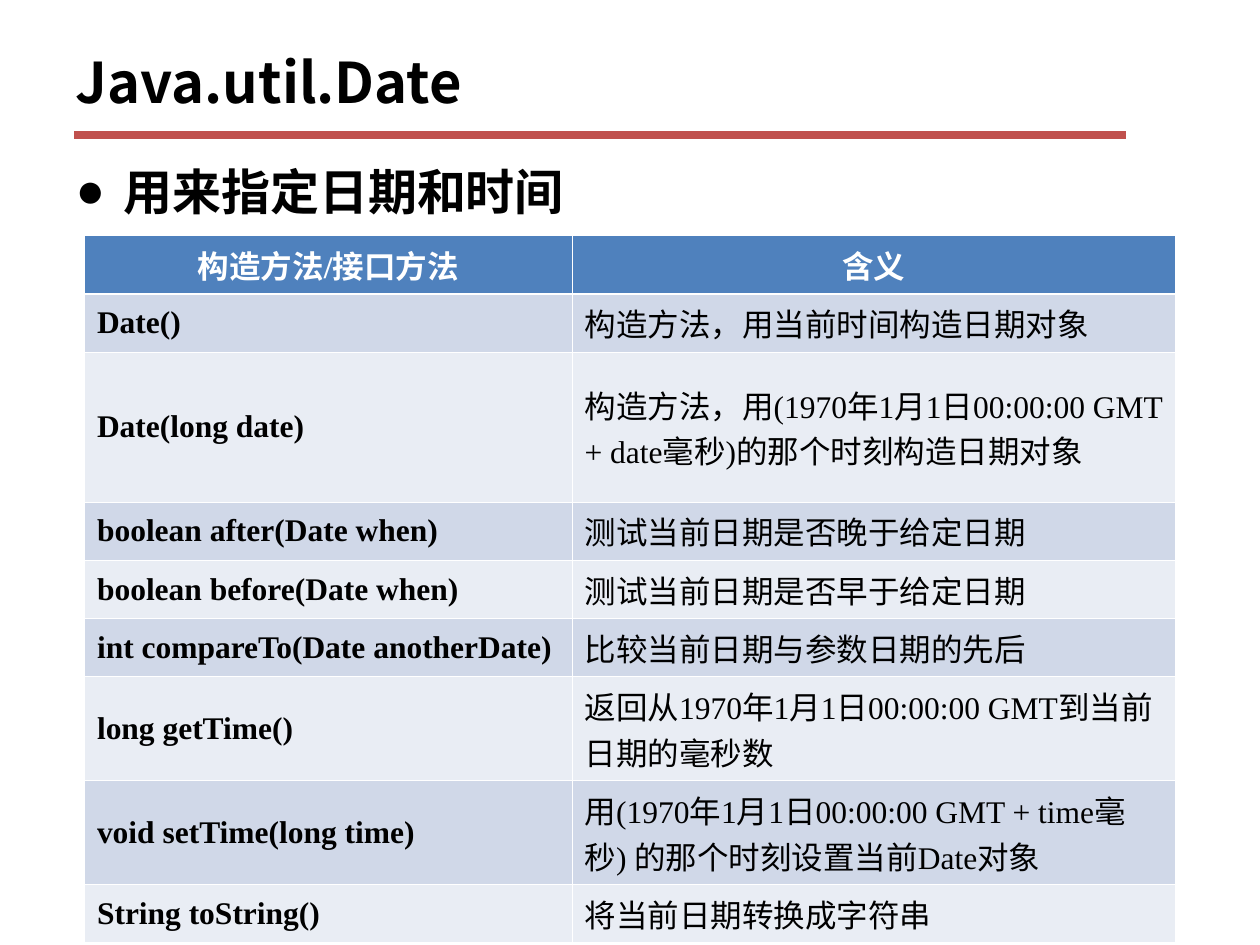
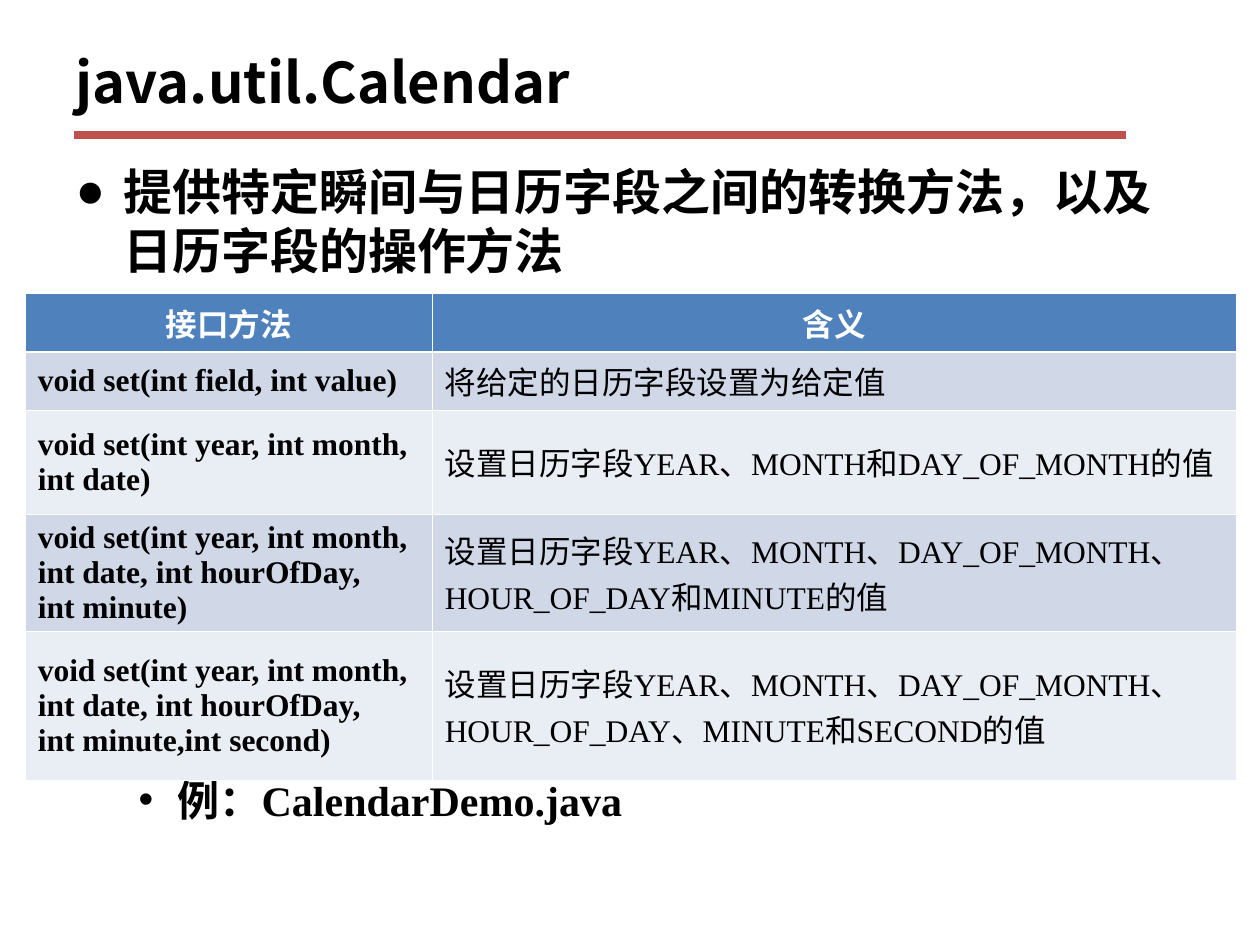
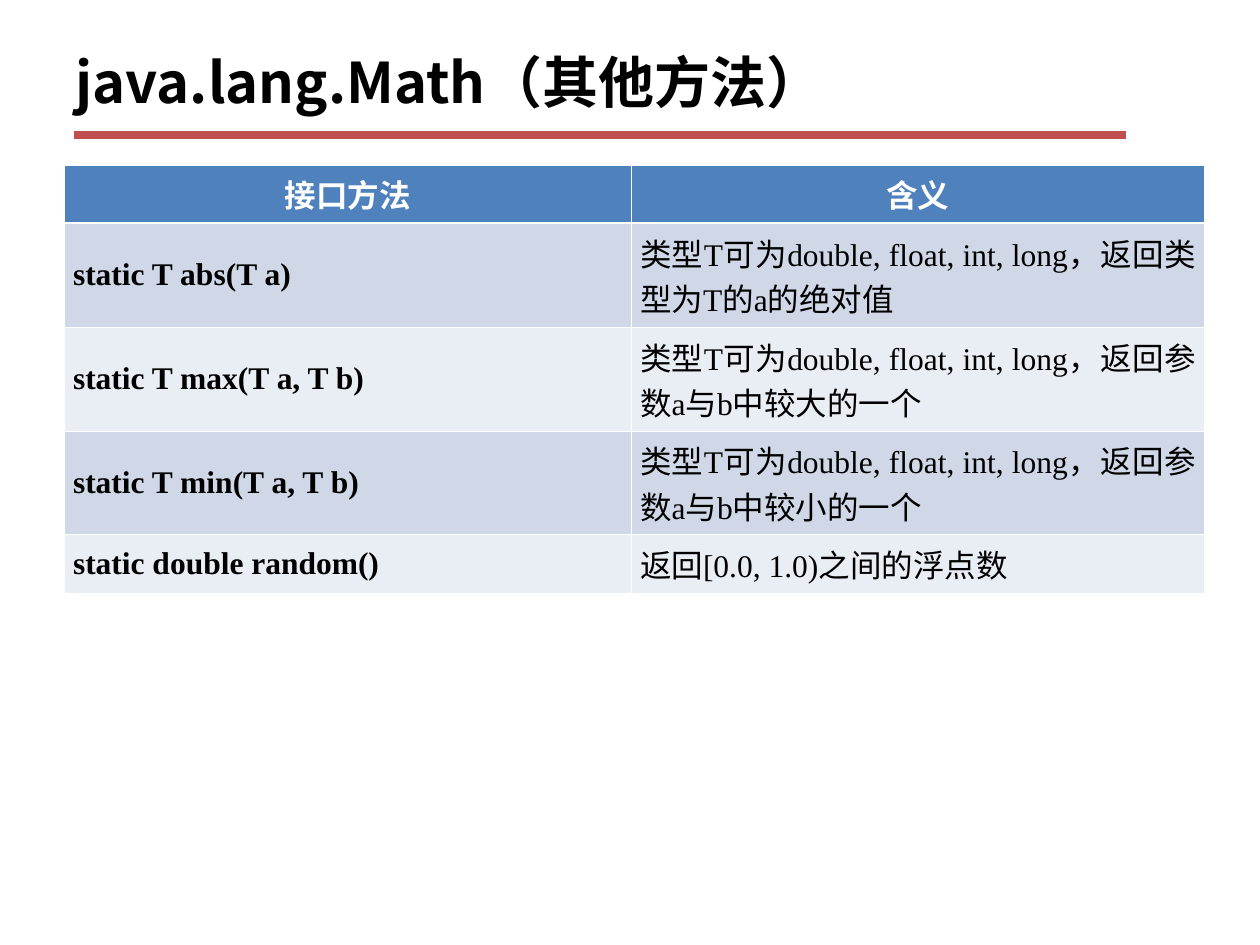
from lxml import etree
from pptx import Presentation
from pptx.dml.color import RGBColor
from pptx.enum import shapes, text
from pptx.oxml import ns
from pptx.util import Inches, Pt

BLACK = RGBColor(0x00, 0x00, 0x00)
WHITE = RGBColor(0xFF, 0xFF, 0xFF)
RED = RGBColor(0xC0, 0x50, 0x4D)
HEADER_BLUE = RGBColor(0x4F, 0x81, 0xBD)
BANDS = (RGBColor(0xD0, 0xD8, 0xE8), RGBColor(0xE9, 0xED, 0xF4))

SERIF = "Times New Roman"
SANS = "Noto Sans CJK SC"
TITLE_BOX = (0.5, 0.21, 9, 0.87)
BODY_BOX = (0.5, 1.23, 9, 5.83)
TITLE_FONT = {"name": SANS, "size": Pt(32), "bold": True}
TABLE_SIZE = Pt(18)
THIN, THICK = Pt(0.45), Pt(1.47)
# bullet sign, left margin, hanging indent, text size for each level
LEVELS = (("●", 0.38, 0.38, Pt(28)), ("•", 0.81, 0.31, Pt(24)))
LAYOUT_LIST, LAYOUT_TITLE_ONLY = 1, 5


def no_break(signature):
    """Keep each int together with the parameter name that follows it."""
    return signature.replace("int ", "int" + chr(160))


DATE_ROWS = [
    ("构造方法/接口方法", "含义"),
    ("Date()", "构造方法，用当前时间构造日期对象"),
    ("Date(long date)",
     "构造方法，用(1970年1月1日00:00:00 GMT + date毫秒)的那个时刻构造日期对象"),
    ("boolean after(Date when)", "测试当前日期是否晚于给定日期"),
    ("boolean before(Date when)", "测试当前日期是否早于给定日期"),
    ("int compareTo(Date anotherDate)", "比较当前日期与参数日期的先后"),
    ("long getTime()", "返回从1970年1月1日00:00:00 GMT到当前日期的毫秒数"),
    ("void setTime(long time)",
     "用(1970年1月1日00:00:00 GMT + time毫秒) 的那个时刻设置当前Date对象"),
    ("String toString()", "将当前日期转换成字符串"),
]
CALENDAR_ROWS = [
    ("接口方法", "含义"),
    ("void set(int field, int value)", "将给定的日历字段设置为给定值"),
    (no_break("void set(int year, int month, int date)"),
     "设置日历字段YEAR、MONTH和DAY_OF_MONTH的值"),
    (no_break("void set(int year, int month, int date, int hourOfDay, int minute)"),
     "设置日历字段YEAR、MONTH、DAY_OF_MONTH、HOUR_OF_DAY和MINUTE的值"),
    (no_break("void set(int year, int month, int date, int hourOfDay, int minute,int second)"),
     "设置日历字段YEAR、MONTH、DAY_OF_MONTH、HOUR_OF_DAY、MINUTE和SECOND的值"),
]
MATH_ROWS = [
    ("接口方法", "含义"),
    ("static T abs(T a)", "类型T可为double, float, int, long，返回类型为T的a的绝对值"),
    ("static T max(T a, T b)", "类型T可为double, float, int, long，返回参数a与b中较大的一个"),
    ("static T min(T a, T b)", "类型T可为double, float, int, long，返回参数a与b中较小的一个"),
    ("static double random()", "返回[0.0, 1.0)之间的浮点数"),
]


def sub(parent, tag, **attrs):
    return etree.SubElement(parent, ns.qn(tag), **attrs)


def place(sp, box):
    for name, value in zip(("left", "top", "width", "height"), box):
        setattr(sp, name, Inches(value))


def add_run(p, words, color=BLACK, **fmt):
    r = p.add_run()
    r.text = words
    for name, value in fmt.items():
        setattr(r.font, name, value)
    r.font.color.rgb = color
    sub(r._r.get_or_add_rPr(), "a:ea", typeface=SANS)


def add_header(s, title, box=TITLE_BOX):
    """Fill the title and draw the red rule along the bottom of its box."""
    sp = s.shapes.title
    place(sp, box)
    tf = sp.text_frame
    tf.auto_size = text.MSO_AUTO_SIZE.NONE
    tf.vertical_anchor = text.MSO_ANCHOR.MIDDLE
    p = tf.paragraphs[0]
    p.alignment = text.PP_ALIGN.LEFT
    add_run(p, title, **TITLE_FONT)

    left, top, width, height = box
    y = Inches(top + height - 0.01)
    rule = s.shapes.add_connector(shapes.MSO_CONNECTOR.STRAIGHT, Inches(left + 0.09), y,
                                  Inches(left + width - 0.56), y)
    rule.line.color.rgb = RED
    rule.line.width = Pt(4.5)
    sub(rule._element.spPr, "a:effectLst")


def add_list(s, items, box=BODY_BOX):
    """Fill the body with items of (level, words, space before)."""
    sp = s.placeholders[1]
    place(sp, box)
    tf = sp.text_frame
    tf.auto_size = text.MSO_AUTO_SIZE.NONE
    for i, (level, words, space) in enumerate(items):
        p = tf.add_paragraph() if i else tf.paragraphs[0]
        sign, margin, hanging, size = LEVELS[level]
        pPr = p._p.get_or_add_pPr()
        pPr.set("marL", str(Inches(margin)))
        pPr.set("indent", str(-Inches(hanging)))
        sub(sub(pPr, "a:buClr"), "a:srgbClr", val=str(BLACK))
        sub(pPr, "a:buChar", char=sign)
        p.level = level
        p.space_before = space
        add_run(p, words, name=SERIF, size=size, bold=True)


def set_borders(cell, top, bottom):
    tcPr = cell._tc.get_or_add_tcPr()
    for side, width in (("L", THIN), ("R", THIN), ("T", top), ("B", bottom)):
        ln = sub(tcPr, f"a:ln{side}", w=str(width))
        sub(sub(ln, "a:solidFill"), "a:srgbClr", val=str(WHITE))


def fill_cell(cell, words, row, col, align, margin):
    header = row == 0
    set_borders(cell, THICK if row == 1 else THIN, THICK if header else THIN)
    cell.fill.solid()
    cell.fill.fore_color.rgb = HEADER_BLUE if header else BANDS[(row - 1) % 2]
    cell.vertical_anchor = text.MSO_ANCHOR.MIDDLE
    if not header:
        cell.margin_left = cell.margin_right = Inches(margin)
    p = cell.text_frame.paragraphs[0]
    if header:
        p.alignment = text.PP_ALIGN.CENTER
    else:
        p.alignment = align if col else text.PP_ALIGN.LEFT
    add_run(p, words, WHITE if header else BLACK,
            name=SERIF, size=TABLE_SIZE, bold=header or col == 0)


def add_method_table(s, rows, left, top, widths, heights,
                     align=text.PP_ALIGN.LEFT, margin=0.1):
    frame = s.shapes.add_table(len(rows), len(widths), Inches(left), Inches(top),
                               Inches(sum(widths)), Inches(sum(heights)))
    table = frame.table
    table.first_row = table.horz_banding = False
    for column, width in zip(table.columns, widths):
        column.width = Inches(width)
    for i, (height, row) in enumerate(zip(heights, rows)):
        table.rows[i].height = Inches(height)
        for j, words in enumerate(row):
            fill_cell(table.cell(i, j), words, i, j, align, margin)


def add_slide(prs, title, layout):
    s = prs.slides.add_slide(prs.slide_layouts[layout])
    add_header(s, title)
    return s


def main():
    prs = Presentation()
    prs.slide_width, prs.slide_height = Inches(10), Inches(7.5)

    s = add_slide(prs, "Java.util.Date", LAYOUT_LIST)
    add_list(s, [(0, "用来指定日期和时间", Pt(0))])
    add_method_table(s, DATE_ROWS, 0.67, 1.87, (3.87, 4.79),
                     (0.46, 0.46, 1.19, 0.46, 0.46, 0.46, 0.82, 0.82, 0.46))

    s = add_slide(prs, "java.util.Calendar", LAYOUT_LIST)
    add_list(s, [(0, "提供特定瞬间与日历字段之间的转换方法，以及日历字段的操作方法", Pt(0)),
                 (1, "例：CalendarDemo.java", Pt(283))])
    add_method_table(s, CALENDAR_ROWS, 0.2, 2.33, (3.23, 6.38),
                     (0.46, 0.46, 0.82, 0.93, 0.93))

    s = add_slide(prs, "java.lang.Math（其他方法）", LAYOUT_TITLE_ONLY)
    add_method_table(s, MATH_ROWS, 0.51, 1.31, (4.5, 4.55),
                     (0.46, 0.72, 0.72, 0.72, 0.36),
                     align=text.PP_ALIGN.JUSTIFY, margin=0.07)

    prs.save("out.pptx")


if __name__ == "__main__":
    main()
